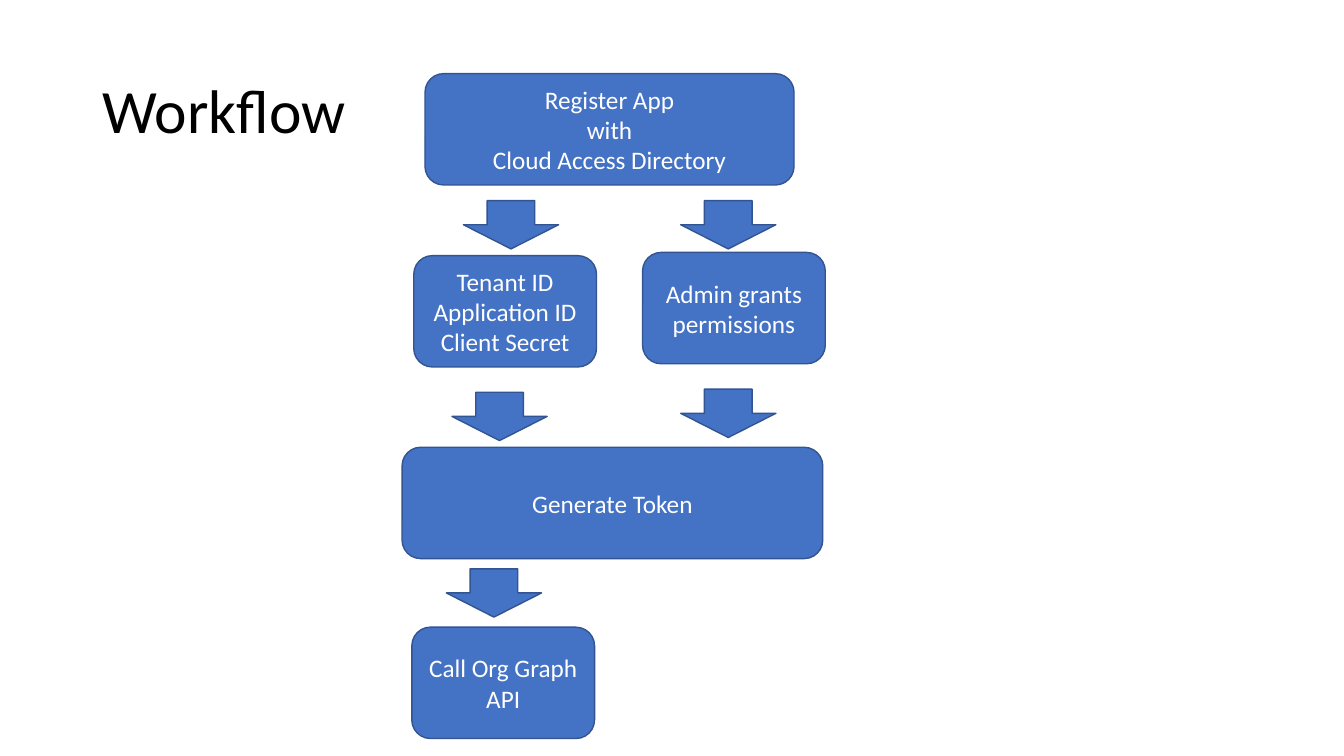
from pptx import Presentation
from pptx.dml.color import RGBColor
from pptx.enum.shapes import MSO_SHAPE
from pptx.enum.text import MSO_ANCHOR, MSO_AUTO_SIZE, PP_ALIGN
from pptx.util import Pt

ROUNDED = MSO_SHAPE.ROUNDED_RECTANGLE
DOWN_ARROW = MSO_SHAPE.DOWN_ARROW
LEFT, CENTER = PP_ALIGN.LEFT, PP_ALIGN.CENTER
MIDDLE = MSO_ANCHOR.MIDDLE
NO_AUTOFIT = MSO_AUTO_SIZE.NONE

COLORS = {"fill": "4472C4", "outline": "325491", "title": "000000", "label": "FFFFFF"}
STEP_HEIGHT = 79.5
ARROW_WIDTH, ARROW_HEIGHT = 68, 34.5


def write_text(shape, text, size=18, color="label", align=CENTER, line_spacing=1.0):
    frame = shape.text_frame
    frame.text = text
    frame.word_wrap = True
    frame.auto_size = NO_AUTOFIT
    frame.vertical_anchor = MIDDLE
    for paragraph in frame.paragraphs:
        paragraph.alignment = align
        paragraph.line_spacing = line_spacing
        paragraph.font.name = "Calibri"
        paragraph.font.size = Pt(size)
        paragraph.font.color.rgb = RGBColor.from_string(COLORS[color])


def add_block(kind, left, top, width, height):
    shape = slide.shapes.add_shape(kind, Pt(left), Pt(top), Pt(width), Pt(height))
    shape.shadow.inherit = False
    shape.fill.solid()
    shape.fill.fore_color.rgb = RGBColor.from_string(COLORS["fill"])
    shape.line.color.rgb = RGBColor.from_string(COLORS["outline"])
    shape.line.width = Pt(1)
    return shape


presentation = Presentation()
presentation.slide_width = Pt(960)
presentation.slide_height = Pt(540)
slide = presentation.slides.add_slide(presentation.slide_layouts[5])

# Title
title = slide.shapes.title
title.left, title.top, title.width, title.height = Pt(66), Pt(28.75), Pt(828), Pt(104.4)
write_text(title, "Workflow", size=44, color="title", align=LEFT, line_spacing=0.9)

# Workflow steps: left, top, width, text
steps = [
    (303.6, 52.6, 263.6, "Register App\nwith\nCloud Access Directory"),
    (295.6, 182.6, 130.5, "Tenant ID\nApplication ID\nClient Secret"),
    (459, 180.3, 130.5, "Admin grants permissions"),
    (287.2, 319.5, 300.5, "Generate Token"),
    (294.2, 448, 130.5, "Call Org Graph API"),
]
for left, top, width, text in steps:
    step = add_block(ROUNDED, left, top, width, STEP_HEIGHT)
    write_text(step, text)

# Arrows between the steps: left, top
arrows = [(331, 143.3), (486.2, 143.3), (322.8, 280.2), (486.2, 278), (318.8, 406.3)]
for left, top in arrows:
    add_block(DOWN_ARROW, left, top, ARROW_WIDTH, ARROW_HEIGHT)

presentation.save("out.pptx")
